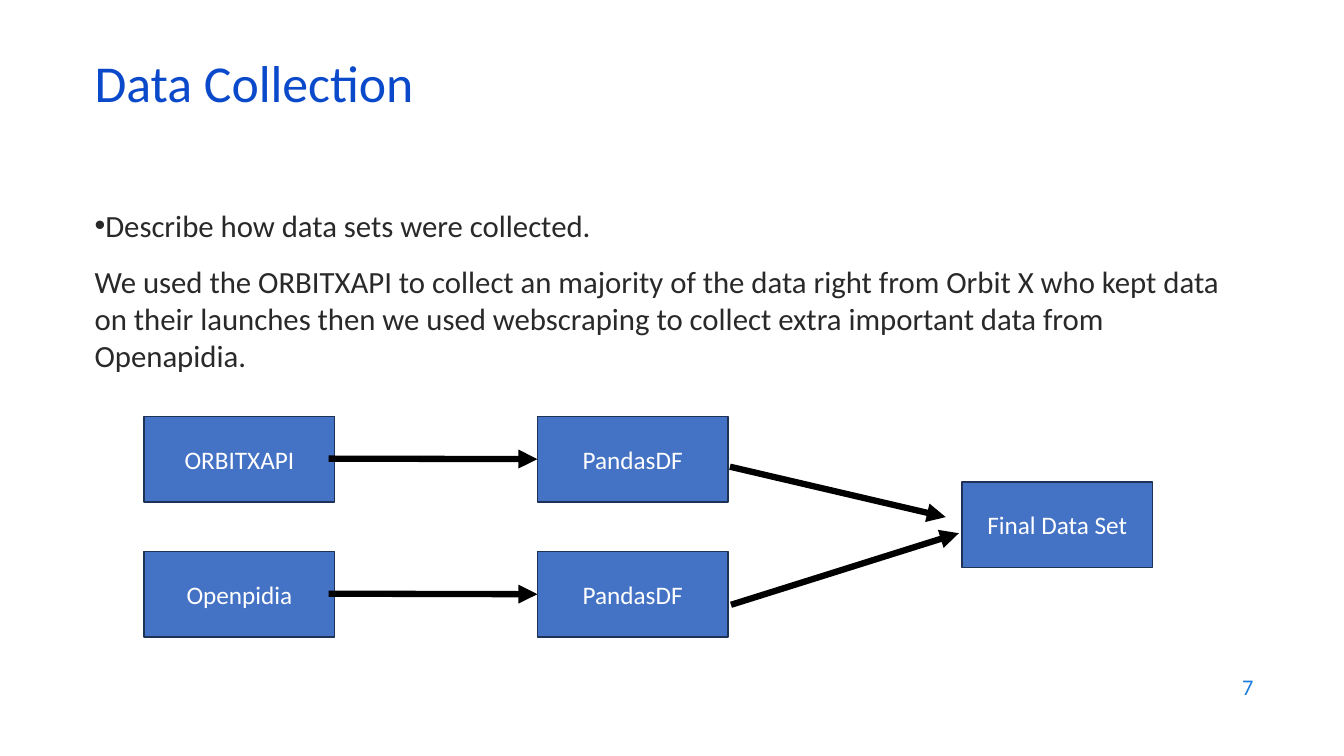
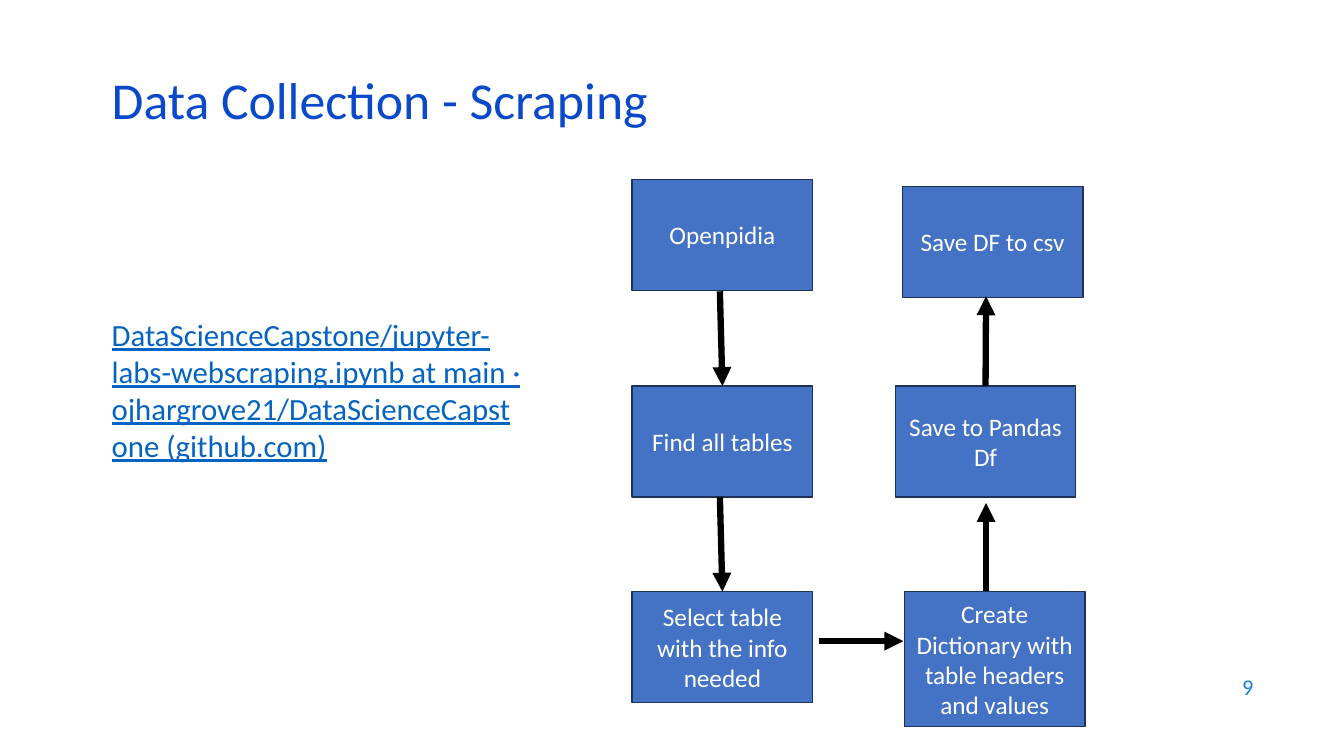
from lxml.etree import SubElement
from pptx import Presentation
from pptx.dml.color import RGBColor
from pptx.enum.shapes import MSO_CONNECTOR as Line, MSO_SHAPE as Shape
from pptx.enum.text import MSO_ANCHOR as Anchor, PP_ALIGN as Align
from pptx.oxml.ns import qn
from pptx.util import Inches, Pt

TITLE_BLUE = RGBColor(0x0B, 0x49, 0xCB)
NUMBER_BLUE = RGBColor(0x1C, 0x7D, 0xDB)
LINK_BLUE = RGBColor(0x05, 0x63, 0xC1)
BOX_BLUE = RGBColor(0x44, 0x72, 0xC4)
BOX_EDGE = RGBColor(0x1E, 0x32, 0x56)
BODY_GREY = RGBColor(0x29, 0x29, 0x29)
WHITE = RGBColor(0xFF, 0xFF, 0xFF)
BLACK = RGBColor(0, 0, 0)
FONT = "Calibri"
TOP, LEFT = 0, 1

SLIDES = [
    {
        "title": "Data Collection",
        "title_at": (0.84, 0.59),
        "number": "7",
        "body_at": (0.84, 2, 11.5, 1.95),
        "body": [
            ("Describe how data sets were collected.", "bullet"),
            ("We used the ORBITXAPI to collect an majority of the data right from "
             "Orbit X who kept data on their launches then we used webscraping to "
             "collect extra important data from Openapidia.", "plain"),
        ],
        "box_size": (1.89, 0.85),
        "boxes": {
            "api": ("ORBITXAPI", 1.43, 4.13),
            "wiki": ("Openpidia", 1.43, 5.47),
            "api frame": ("PandasDF", 5.33, 4.13),
            "wiki frame": ("PandasDF", 5.33, 5.47),
            "final": ("Final Data Set", 9.54, 4.78),
        },
        "arrows": [
            ((3.26, 4.55), ("api frame", LEFT)),
            ((3.26, 5.89), ("wiki frame", LEFT)),
            ((7.24, 4.63), (9.38, 5.13)),
            ((7.25, 6), (9.51, 5.29)),
        ],
    },
    {
        "title": "Data Collection - Scraping",
        "title_at": (1.01, 0.76),
        "number": "9",
        "body_at": (1.01, 3.08, 4.3, 1.6),
        "body": [
            ("DataScienceCapstone/jupyter-labs-webscraping.ipynb at main · "
             "ojhargrove21/DataScienceCapstone (github.com)", "link"),
        ],
        "box_size": (1.79, 1.1),
        "boxes": {
            "wiki": ("Openpidia", 6.27, 1.78),
            "find": ("Find all tables", 6.27, 3.83),
            "select": ("Select table with the info needed", 6.27, 5.87),
            "dictionary": ("Create Dictionary with table headers and values",
                           8.97, 5.87, 1.34),
            "frame": ("Save to Pandas Df", 8.88, 3.83),
            "csv": ("Save DF to csv", 8.95, 1.85),
        },
        "arrows": [
            ((7.14, 2.89), ("find", TOP)),
            ((7.14, 4.93), ("select", TOP)),
            ((8.12, 6.36), (8.96, 6.36)),
            ((9.78, 5.86), (9.78, 4.99)),
            (("frame", TOP), (9.78, 2.94)),
        ],
    },
]


def style(para, size, color, align=Align.LEFT):
    para.alignment = align
    for span in para.runs:
        span.font.name = FONT
        span.font.size = Pt(size)
        span.font.color.rgb = color


def add_text(page, at, text, size, color, align=Align.LEFT):
    box = page.shapes.add_textbox(*map(Inches, at))
    frame = box.text_frame
    frame.word_wrap = True
    frame.vertical_anchor = Anchor.MIDDLE
    frame.text = text
    style(frame.paragraphs[0], size, color, align)
    return frame


def add_body(page, at, items):
    frame = page.shapes.add_textbox(*map(Inches, at)).text_frame
    frame.word_wrap = True
    for index, (text, kind) in enumerate(items):
        para = frame.add_paragraph() if index else frame.paragraphs[0]
        para.text = text
        if kind == "bullet":
            properties = para._p.get_or_add_pPr()
            SubElement(properties, qn("a:buFont"), typeface="Arial")
            SubElement(properties, qn("a:buChar"), char="•")
        if index:
            para.space_before = Pt(14)
        style(para, 22, LINK_BLUE if kind == "link" else BODY_GREY)
        if kind == "link":
            para.runs[0].font.underline = True


def add_box(page, size, text, left, top, height=None):
    width, usual_height = size
    box = page.shapes.add_shape(
        Shape.RECTANGLE, *map(Inches, (left, top, width, height or usual_height)))
    box.shadow.inherit = False
    box.fill.solid()
    box.fill.fore_color.rgb = BOX_BLUE
    box.line.color.rgb = BOX_EDGE
    box.line.width = Pt(1)
    frame = box.text_frame
    frame.word_wrap = True
    frame.vertical_anchor = Anchor.MIDDLE
    frame.text = text
    style(frame.paragraphs[0], 18, WHITE, Align.CENTER)
    return box


def add_arrow(page, boxes, start, end):
    joins = [point[0] in boxes for point in (start, end)]
    ends = [(0, 0) if joined else point for joined, point in zip(joins, (start, end))]
    arrow = page.shapes.add_connector(
        Line.STRAIGHT, *(Inches(value) for point in ends for value in point))
    if joins[0]:
        arrow.begin_connect(boxes[start[0]], start[1])
    if joins[1]:
        arrow.end_connect(boxes[end[0]], end[1])
    arrow.line.color.rgb = BLACK
    arrow.line.width = Pt(4.5)
    SubElement(arrow.line._get_or_add_ln(), qn("a:tailEnd"), type="triangle")
    SubElement(arrow._element.spPr, qn("a:effectLst"))


def add_page(deck, content):
    page = deck.slides.add_slide(deck.slide_layouts[6])
    add_text(page, (9.53, 6.59, 3, 0.44), content["number"], 16, NUMBER_BLUE, Align.RIGHT)
    add_body(page, content["body_at"], content["body"])
    title = add_text(page, (*content["title_at"], 11.5, 0.6), content["title"], 37, TITLE_BLUE)
    title.paragraphs[0].line_spacing = 0.7
    boxes = {name: add_box(page, content["box_size"], *box)
             for name, box in content["boxes"].items()}
    for start, end in content["arrows"]:
        add_arrow(page, boxes, start, end)


def main():
    """Build the data collection slides."""
    deck = Presentation()
    deck.slide_width, deck.slide_height = Inches(13.33), Inches(7.5)
    for content in SLIDES:
        add_page(deck, content)
    deck.save("out.pptx")


if __name__ == "__main__":
    main()
